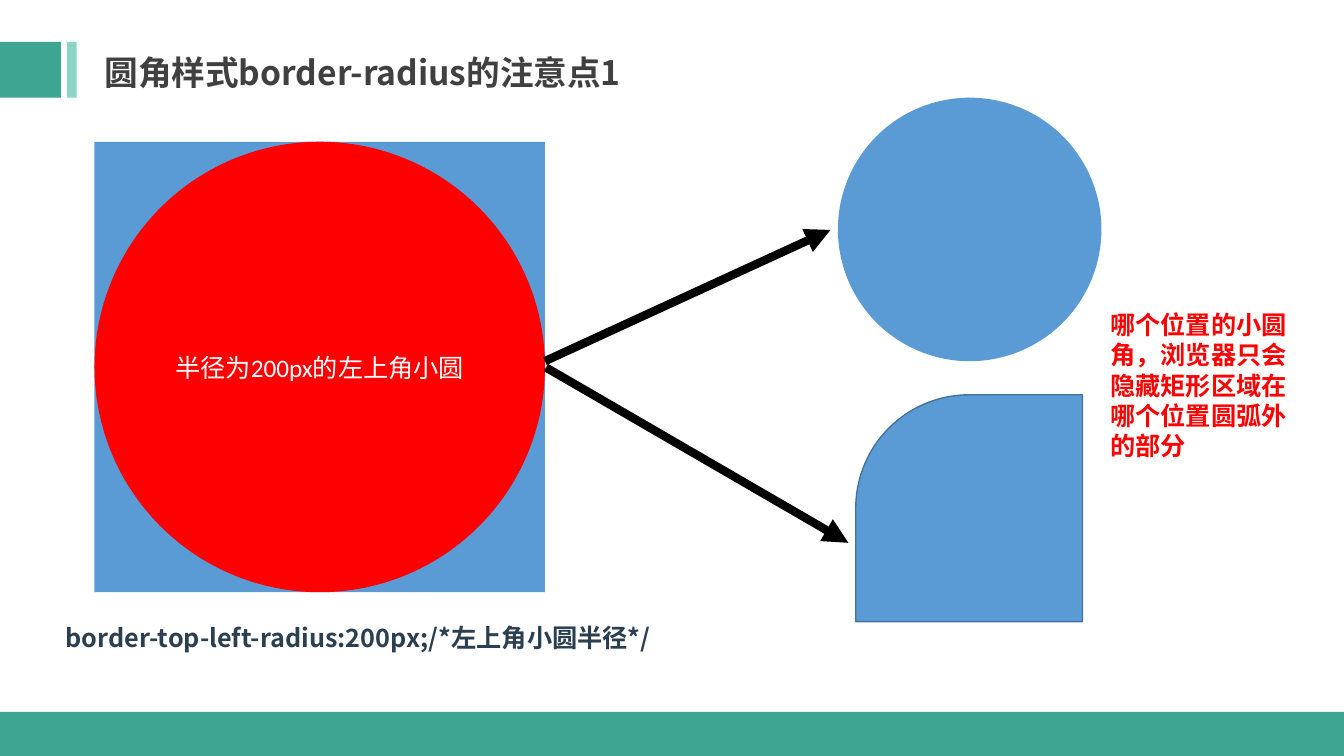
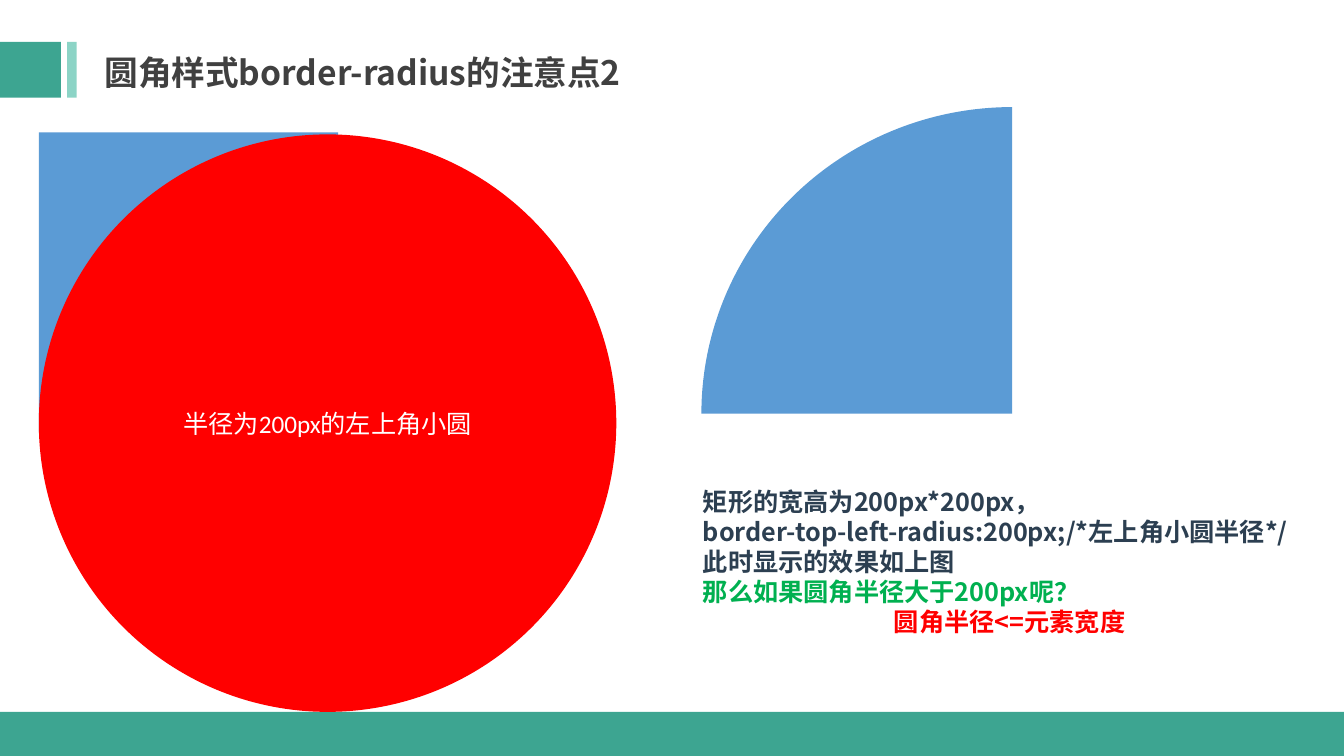
from dataclasses import dataclass

from lxml.etree import SubElement
from pptx import Presentation
from pptx.dml.color import RGBColor
from pptx.enum.shapes import MSO_CONNECTOR, MSO_SHAPE
from pptx.enum.text import MSO_ANCHOR, MSO_AUTO_SIZE, PP_ALIGN
from pptx.oxml.ns import qn
from pptx.util import Pt

PX = 9525  # EMU per px; a slide is 1280 x 720 px


@dataclass(frozen=True)
class Theme:
    teal: str = "3DA591"
    mint: str = "8CD4C6"
    blue: str = "5B9BD5"
    outline: str = "43739E"
    red: str = "FF0000"
    green: str = "00B050"
    navy: str = "2C3F51"
    grey: str = "404040"
    white: str = "FFFFFF"
    black: str = "000000"
    font: str = "Noto Sans CJK SC"
    label_font: str = "Calibri"
    title_size: int = 24
    body_size: int = 18


theme = Theme()


def draw(page, kind, frame, fill):
    """Add a flat preset shape; frame is left, top, width, height in px."""
    shape = page.shapes.add_shape(kind, *(value * PX for value in frame))
    shape.shadow.inherit = False
    shape.fill.solid()
    shape.fill.fore_color.rgb = RGBColor.from_string(fill)
    shape.line.fill.background()
    return shape


def write(box, *lines, color=theme.navy, size=theme.body_size, font=theme.font,
          bold=True, align=PP_ALIGN.LEFT, anchor=MSO_ANCHOR.TOP, wrap=True):
    """Fill a box with lines; a line is text or (text, color, align)."""
    frame = box.text_frame
    frame.word_wrap = wrap
    frame.auto_size = MSO_AUTO_SIZE.NONE
    frame.vertical_anchor = anchor
    for index, line in enumerate(lines):
        text, line_color, line_align = (line, color, align) if isinstance(line, str) else line
        para = frame.add_paragraph() if index else frame.paragraphs[0]
        para.alignment = line_align
        span = para.add_run()
        span.text = text
        span.font.size = Pt(size)
        span.font.bold = bold
        span.font.name = font
        span.font.color.rgb = RGBColor.from_string(line_color)
        SubElement(span.font._element, qn("a:ea"), typeface=theme.font)


deck = Presentation()
deck.slide_width, deck.slide_height = 1280 * PX, 720 * PX

# Shared layout: title position, accent blocks and footer band
layout = deck.slide_layouts.get_by_name("Title Only")
title = layout.placeholders[0]
title.left, title.top, title.width, title.height = 90 * PX, 45 * PX, 608 * PX, 48 * PX

pages = []
for number in (1, 2):
    page = deck.slides.add_slide(layout)
    write(page.shapes.title, f"圆角样式border-radius的注意点{number}",
          color=theme.grey, size=theme.title_size)
    pages.append(page)
radius_page, limit_page = pages

bands = [((0, 40, 58, 53), theme.teal),
         ((64, 40, 9, 53), theme.mint),
         ((0, 678, 1280, 42), theme.teal)]
for shape_id, (frame, fill) in enumerate(bands, start=100):
    band = draw(radius_page, MSO_SHAPE.RECTANGLE, frame, fill).element
    band.nvSpPr.cNvPr.set("id", str(shape_id))
    layout.shapes.element.append(band)

# Both slides: a square with the corner circle over it
for page, square_frame, circle_frame in (
        (radius_page, (90, 135, 429, 429), (90, 135, 429, 429)),
        (limit_page, (37, 126, 285, 285), (37, 128, 550, 550))):
    draw(page, MSO_SHAPE.RECTANGLE, square_frame, theme.blue)
    circle = draw(page, MSO_SHAPE.OVAL, circle_frame, theme.red)
    write(circle, "半径为200px的左上角小圆", color=theme.white, font=theme.label_font,
          bold=False, align=PP_ALIGN.CENTER, anchor=MSO_ANCHOR.MIDDLE)

# Slide 1: two possible results
code = "border-top-left-radius:200px;/*左上角小圆半径*/"
code_box = radius_page.shapes.add_textbox(53 * PX, 588 * PX, 603 * PX, 38 * PX)
write(code_box, code, wrap=False)

draw(radius_page, MSO_SHAPE.OVAL, (798, 93, 251, 251), theme.blue)
rounded = draw(radius_page, MSO_SHAPE.ROUND_1_RECTANGLE, (815, 376, 216, 216), theme.blue)
rounded.adjustments[0] = 0.5
rounded.element.spPr.xfrm.set("flipH", "1")
rounded.line.color.rgb = RGBColor.from_string(theme.outline)
rounded.line.width = Pt(1)

for ends in ((519, 344, 791, 219), (520, 350, 808, 517)):
    arrow = radius_page.shapes.add_connector(
        MSO_CONNECTOR.STRAIGHT, *(value * PX for value in ends))
    arrow.line.color.rgb = RGBColor.from_string(theme.black)
    arrow.line.width = Pt(6)
    SubElement(arrow.line._get_or_add_ln(), qn("a:tailEnd"), type="triangle")
    SubElement(arrow.element.spPr, qn("a:effectLst"))

note_box = radius_page.shapes.add_textbox(1048 * PX, 290 * PX, 201 * PX, 156 * PX)
write(note_box, "哪个位置的小圆角，浏览器只会隐藏矩形区域在哪个位置圆弧外的部分", color=theme.red)

# Slide 2: the quarter circle that remains, and the rule
quarter = draw(limit_page, MSO_SHAPE.PIE, (668, 102, 592, 584), theme.blue)
for index, degrees in enumerate((180, 270)):
    quarter.adjustments[index] = degrees * 0.6  # 60000 units a degree, stored in 100000ths

rule_box = limit_page.shapes.add_textbox(660 * PX, 458 * PX, 603 * PX, 156 * PX)
write(rule_box,
      "矩形的宽高为200px*200px，",
      code,
      "此时显示的效果如上图",
      ("那么如果圆角半径大于200px呢？", theme.green, PP_ALIGN.LEFT),
      ("圆角半径<=元素宽度", theme.red, PP_ALIGN.CENTER),
      wrap=False)

deck.save("out.pptx")
